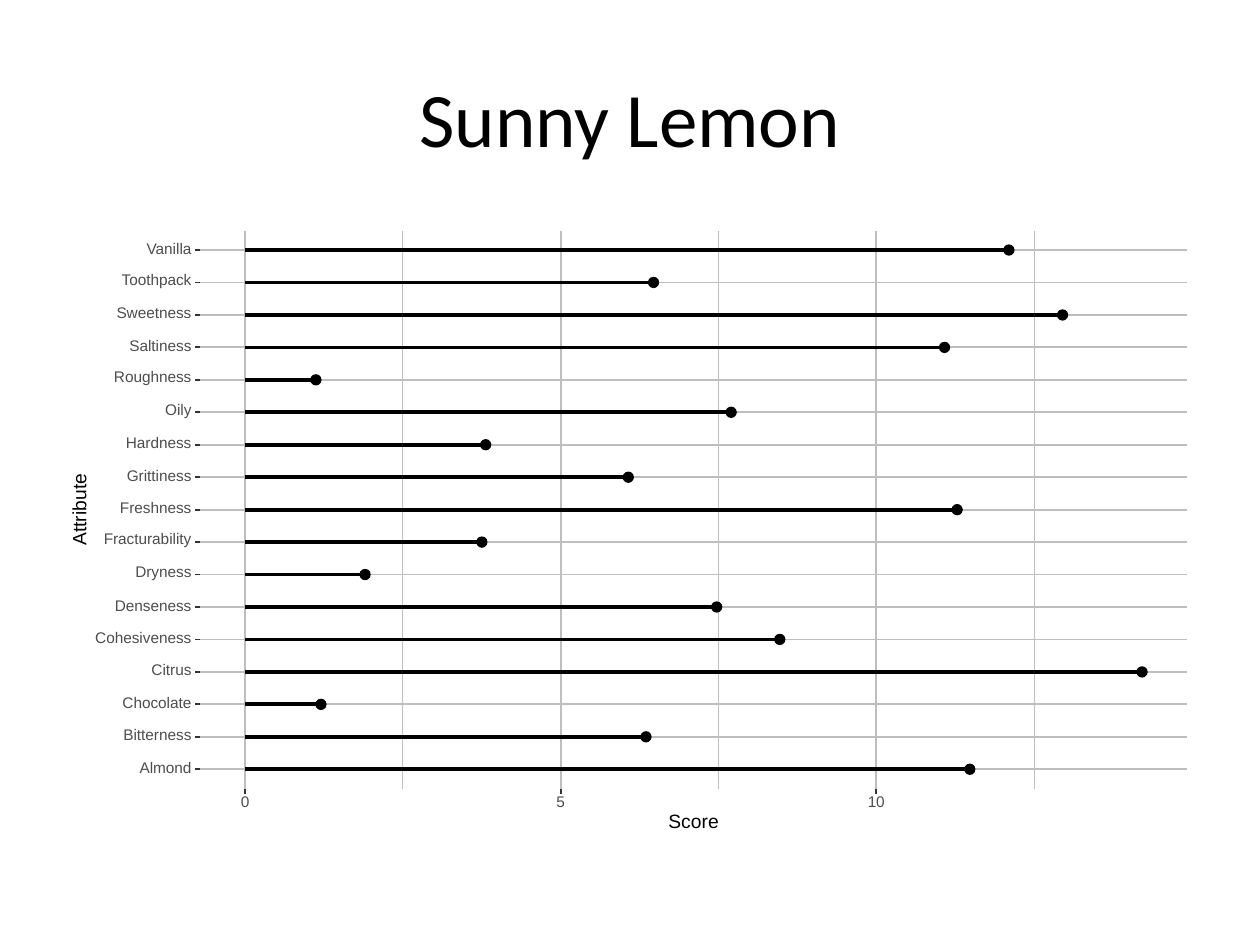
from typing import NamedTuple

from lxml.etree import SubElement
from pptx import Presentation
from pptx.dml.color import RGBColor
from pptx.enum.shapes import MSO_CONNECTOR, MSO_SHAPE
from pptx.enum.text import MSO_ANCHOR, PP_ALIGN
from pptx.oxml.ns import qn
from pptx.util import Inches, Pt

SCORES = {
    "Almond": 11.48, "Bitterness": 6.35, "Chocolate": 1.2, "Citrus": 14.21,
    "Cohesiveness": 8.47, "Denseness": 7.47, "Dryness": 1.9,
    "Fracturability": 3.75, "Freshness": 11.28, "Grittiness": 6.07,
    "Hardness": 3.81, "Oily": 7.7, "Roughness": 1.12, "Saltiness": 11.08,
    "Sweetness": 12.95, "Toothpack": 6.47, "Vanilla": 12.1,
}
MAJOR_SCORES = (0, 5, 10)
MINOR_SCORES = (2.5, 7.5, 12.5)
GRID, TICK, LABEL, BLACK, WHITE = "BEBEBE", "333333", "4D4D4D", "000000", "FFFFFF"
TICK_LENGTH = 0.04
DOT_SIZE = 0.08


class Box(NamedTuple):
    """A rectangle in inches."""

    left: float
    top: float
    width: float
    height: float

    @property
    def right(self):
        """Return the right edge."""
        return self.left + self.width

    @property
    def bottom(self):
        """Return the bottom edge."""
        return self.top + self.height

    def lengths(self):
        """Return the four measures as slide lengths."""
        return [Inches(measure) for measure in self]


def color(hex_string):
    """Turn a hex string into a colour."""
    return RGBColor.from_string(hex_string)


def centered_box(x, y, width, height):
    """Return a box around a middle point."""
    return Box(x - width / 2, y - height / 2, width, height)


def score_x(panel, score):
    """Place a score across the panel, with 5% to spare at either end."""
    highest = max(SCORES.values())
    return panel.left + panel.width * (score / highest + 0.05) / 1.1


def row_y(panel, row):
    """Place a row, counted from the bottom, with 0.6 of a row to spare."""
    return panel.bottom - panel.height * (row + 0.6) / (len(SCORES) + 0.2)


def add_line(shapes, start, end, hex_string, width):
    """Draw a straight line between two points."""
    line = shapes.add_connector(
        MSO_CONNECTOR.STRAIGHT, *(Inches(value) for value in (*start, *end)))
    line.line.color.rgb = color(hex_string)
    line.line.width = Pt(width)
    SubElement(line._element.spPr, qn("a:effectLst"))


def add_solid(shapes, kind, box, hex_string, line_width):
    """Draw a preset shape in a single colour."""
    shape = shapes.add_shape(kind, *box.lengths())
    shape.shadow.inherit = False
    shape.fill.solid()
    shape.fill.fore_color.rgb = color(hex_string)
    shape.line.color.rgb = color(hex_string)
    shape.line.width = Pt(line_width)


def add_label(shapes, box, text, size, hex_string, alignment=PP_ALIGN.CENTER):
    """Write one line of text in a box without margins."""
    shape = shapes.add_textbox(*box.lengths())
    frame = shape.text_frame
    frame.margin_left = frame.margin_right = frame.margin_top = frame.margin_bottom = 0
    frame.vertical_anchor = MSO_ANCHOR.MIDDLE
    frame.word_wrap = True
    paragraph = frame.paragraphs[0]
    paragraph.text = text
    paragraph.alignment = alignment
    paragraph.line_spacing = Pt(size)
    paragraph.font.name = "Arial"
    paragraph.font.size = Pt(size)
    paragraph.font.color.rgb = color(hex_string)
    return shape


def add_grid(shapes, panel):
    """Draw the minor score lines, the row lines and the major score lines."""
    def add_score_lines(scores, width):
        """Draw one vertical line for each score."""
        for score in scores:
            x = score_x(panel, score)
            add_line(shapes, (x, panel.bottom), (x, panel.top), GRID, width)

    add_score_lines(MINOR_SCORES, 0.53)
    for row in range(len(SCORES)):
        y = row_y(panel, row)
        add_line(shapes, (panel.left, y), (panel.right, y), GRID, 1.07)
    add_score_lines(MAJOR_SCORES, 1.07)


def add_lollipops(shapes, panel):
    """Draw a dot at each score and a stick back to zero."""
    zero = score_x(panel, 0)
    for row, score in enumerate(SCORES.values()):
        x, y = score_x(panel, score), row_y(panel, row)
        dot = centered_box(x, y, DOT_SIZE, DOT_SIZE)
        add_solid(shapes, MSO_SHAPE.OVAL, dot, BLACK, 0.71)
        add_line(shapes, (x, y), (zero, y), BLACK, 2.13)


def add_attribute_axis(shapes, panel):
    """Write the attribute names, their ticks and the axis title."""
    for row, name in enumerate(SCORES):
        y = row_y(panel, row)
        height = 0.11 if set(name) & set("gpy") else 0.09
        box = Box(panel.left - 0.87, y + 0.04 - height, 0.8, height)
        add_label(shapes, box, name, 8.8, LABEL, PP_ALIGN.RIGHT)
        add_line(shapes, (panel.left - TICK_LENGTH, y), (panel.left, y), TICK, 1.07)
    middle = panel.top + panel.height / 2
    box = centered_box(panel.left - 0.95, middle, 0.8, 0.11)
    add_label(shapes, box, "Attribute", 11, BLACK).rotation = 270


def add_score_axis(shapes, panel):
    """Write the major scores, their ticks and the axis title."""
    for score in MAJOR_SCORES:
        x = score_x(panel, score)
        add_line(shapes, (x, panel.bottom + TICK_LENGTH), (x, panel.bottom), TICK, 1.07)
        box = centered_box(x, panel.bottom + 0.11, 0.2, 0.09)
        add_label(shapes, box, str(score), 8.8, LABEL)
    middle = panel.left + panel.width / 2
    box = centered_box(middle, panel.bottom + 0.27, 0.6, 0.11)
    add_label(shapes, box, "Score", 11, BLACK)


def add_lollipop_chart(slide, box):
    """Build the grouped chart within its box."""
    shapes = slide.shapes.add_group_shape().shapes
    panel = Box(box.left + 1.09, box.top + 0.08, box.width - 1.17, box.height - 0.52)
    add_solid(shapes, MSO_SHAPE.RECTANGLE, box, WHITE, 0.75)
    add_grid(shapes, panel)
    add_lollipops(shapes, panel)
    add_attribute_axis(shapes, panel)
    add_score_axis(shapes, panel)


def add_title(slide, box, text):
    """Fill the title placeholder."""
    title = slide.shapes.title
    title.left, title.top, title.width, title.height = box.lengths()
    title.text_frame.vertical_anchor = MSO_ANCHOR.MIDDLE
    paragraph = title.text_frame.paragraphs[0]
    paragraph.text = text
    paragraph.alignment = PP_ALIGN.CENTER
    paragraph.font.name = "Calibri"
    paragraph.font.size = Pt(44)
    paragraph.font.color.rgb = color(BLACK)


def main():
    """Build and save the presentation."""
    width, height = 10, 7.5
    presentation = Presentation()
    presentation.slide_width, presentation.slide_height = Inches(width), Inches(height)
    slide = presentation.slides.add_slide(presentation.slide_layouts[5])
    add_title(slide, Box(0.05 * width, 0.04 * height, 0.9 * width, 1.25), "Sunny Lemon")
    add_lollipop_chart(slide, Box(0.05 * width, 1.75, 0.9 * width, 0.66 * height))
    presentation.save("out.pptx")


if __name__ == "__main__":
    main()
